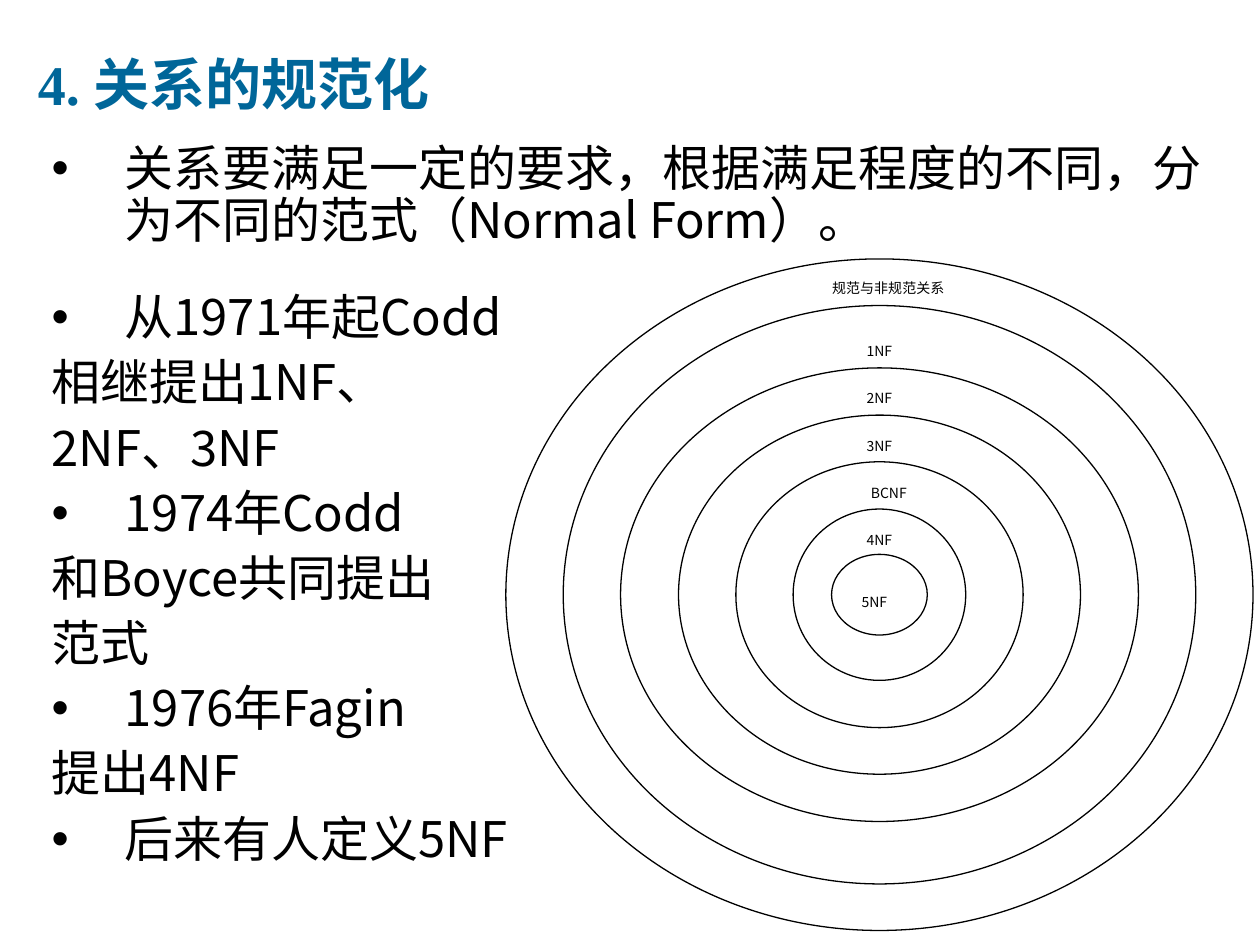
import pptx
import pptx.dml.color
import pptx.enum.shapes
import pptx.enum.text
import pptx.oxml.ns
import pptx.util
from lxml import etree

Inches = pptx.util.Inches
Pt = pptx.util.Pt
ALIGN = pptx.enum.text.PP_ALIGN
ANCHOR = pptx.enum.text.MSO_ANCHOR
AUTO_SIZE = pptx.enum.text.MSO_AUTO_SIZE
BODY_FONT = "Noto Sans CJK SC"
BLACK = "000000"

TITLE = "4. 关系的规范化"
BODY_LINES = [
    ("•", "关系要满足一定的要求，根据满足程度的不同，分为不同的范式（Normal Form）。"),
    ("•", "从1971年起Codd"),
    ("", "相继提出1NF、"),
    ("", "2NF、3NF"),
    ("•", "1974年Codd"),
    ("", "和Boyce共同提出"),
    ("", "范式"),
    ("•", "1976年Fagin"),
    ("", "提出4NF"),
    ("•", "后来有人定义5NF"),
]
RING_CENTRE = (6.98, 4.72)
RING_SIZES = [(5.93, 5.33), (5.02, 4.59), (4.11, 3.6), (3.19, 2.85),
              (2.28, 2.11), (1.37, 1.36), (0.76, 0.64)]
LABEL_LEFT, LABEL_TOP, LABEL_BOTTOM = 6.75, 2.67, 4.17
LABELS = [("1NF", 0.46), ("2NF", 0.46), ("3NF", 0.46), ("BCNF", 0.61), ("4NF", 0.46)]


def color(value):
    """Turn a hex string into a colour."""
    return pptx.dml.color.RGBColor.from_string(value)


def apply_format(target, values):
    """Set each attribute named in a dict of format values."""
    for name, value in values.items():
        setattr(target, name, value)


def place(shape, left, top, width, height):
    """Move and size a shape, with lengths in inches."""
    apply_format(shape, {"left": Inches(left), "top": Inches(top),
                         "width": Inches(width), "height": Inches(height)})


def add_text(paragraph, text, values, fill, east_asian=None):
    """Add a formatted run to a paragraph."""
    run = paragraph.add_run()
    run.text = text
    apply_format(run.font, values)
    run.font.color.rgb = color(fill)
    if east_asian:
        element = etree.SubElement(run.font._element, pptx.oxml.ns.qn("a:ea"))
        element.set("typeface", east_asian)


def set_bullet(paragraph, bullet):
    """Give a paragraph a hanging indent and a bullet, or none."""
    properties = paragraph._p.get_or_add_pPr()
    properties.set("marL", str(Inches(0.69)))
    properties.set("indent", str(Inches(-0.58)))
    tag = "a:buChar" if bullet else "a:buNone"
    element = etree.SubElement(properties, pptx.oxml.ns.qn(tag))
    if bullet:
        element.set("char", bullet)


def fill_title(shape):
    """Format the title placeholder."""
    place(shape, 0.2, 0.16, 9.37, 1)
    apply_format(shape.text_frame, {"vertical_anchor": ANCHOR.MIDDLE,
                                    "auto_size": AUTO_SIZE.NONE})
    paragraph = shape.text_frame.paragraphs[0]
    paragraph.alignment = ALIGN.LEFT
    add_text(paragraph, TITLE,
             {"size": Pt(32), "bold": True, "name": "Times New Roman"}, "006699")


def fill_body(shape):
    """Write the history of normal forms in the body placeholder."""
    place(shape, 0.2, 1.09, 9.45, 6.12)
    frame = shape.text_frame
    apply_format(frame, {"vertical_anchor": ANCHOR.TOP, "auto_size": AUTO_SIZE.NONE})
    for index, (bullet, text) in enumerate(BODY_LINES):
        paragraph = frame.add_paragraph() if index else frame.paragraphs[0]
        apply_format(paragraph, {
            "alignment": ALIGN.JUSTIFY if index else ALIGN.LEFT,
            "line_spacing": 0.9,
            "space_before": Pt(25 if index == 1 else 7),
        })
        set_bullet(paragraph, bullet)
        add_text(paragraph, text, {"size": Pt(28), "name": BODY_FONT}, BLACK, BODY_FONT)


def add_ring(shapes, width, height):
    """Add an ellipse around the common centre."""
    shape = shapes.add_shape(pptx.enum.shapes.MSO_SHAPE.OVAL, 0, 0, 0, 0)
    place(shape, RING_CENTRE[0] - width / 2, RING_CENTRE[1] - height / 2, width, height)
    shape.shadow.inherit = False
    shape.fill.solid()
    shape.fill.fore_color.rgb = color("FFFFFF")
    shape.line.color.rgb = color(BLACK)
    shape.line.width = Pt(0.75)


def add_label(shapes, text, left, top, width, height):
    """Add a small centred ring label."""
    shape = shapes.add_textbox(0, 0, 0, 0)
    place(shape, left, top, width, height)
    apply_format(shape.text_frame, {"word_wrap": False, "auto_size": AUTO_SIZE.NONE,
                                    "vertical_anchor": ANCHOR.TOP})
    paragraph = shape.text_frame.paragraphs[0]
    paragraph.alignment = ALIGN.CENTER
    add_text(paragraph, text, {"size": Pt(8), "name": BODY_FONT}, BLACK, BODY_FONT)


def add_diagram(slide):
    """Add the nested normal forms as one group."""
    shapes = slide.shapes.add_group_shape().shapes
    for width, height in RING_SIZES:
        add_ring(shapes, width, height)
    step = (LABEL_BOTTOM - LABEL_TOP) / (len(LABELS) - 1)
    for index, (text, width) in enumerate(LABELS):
        add_label(shapes, text, LABEL_LEFT, LABEL_TOP + index * step, width, 0.12)
    add_label(shapes, "5NF", 6.71, 4.66, 0.46, 0.13)
    add_label(shapes, "规范与非规范关系", 6.29, 2.17, 1.52, 0.5)


def main():
    """Build and save the slide."""
    presentation = pptx.Presentation()
    apply_format(presentation, {"slide_width": Inches(10), "slide_height": Inches(7.5)})
    slide = presentation.slides.add_slide(presentation.slide_layouts[1])
    fill_title(slide.shapes.title)
    fill_body(slide.placeholders[1])
    add_diagram(slide)
    presentation.save("out.pptx")


if __name__ == "__main__":
    main()
